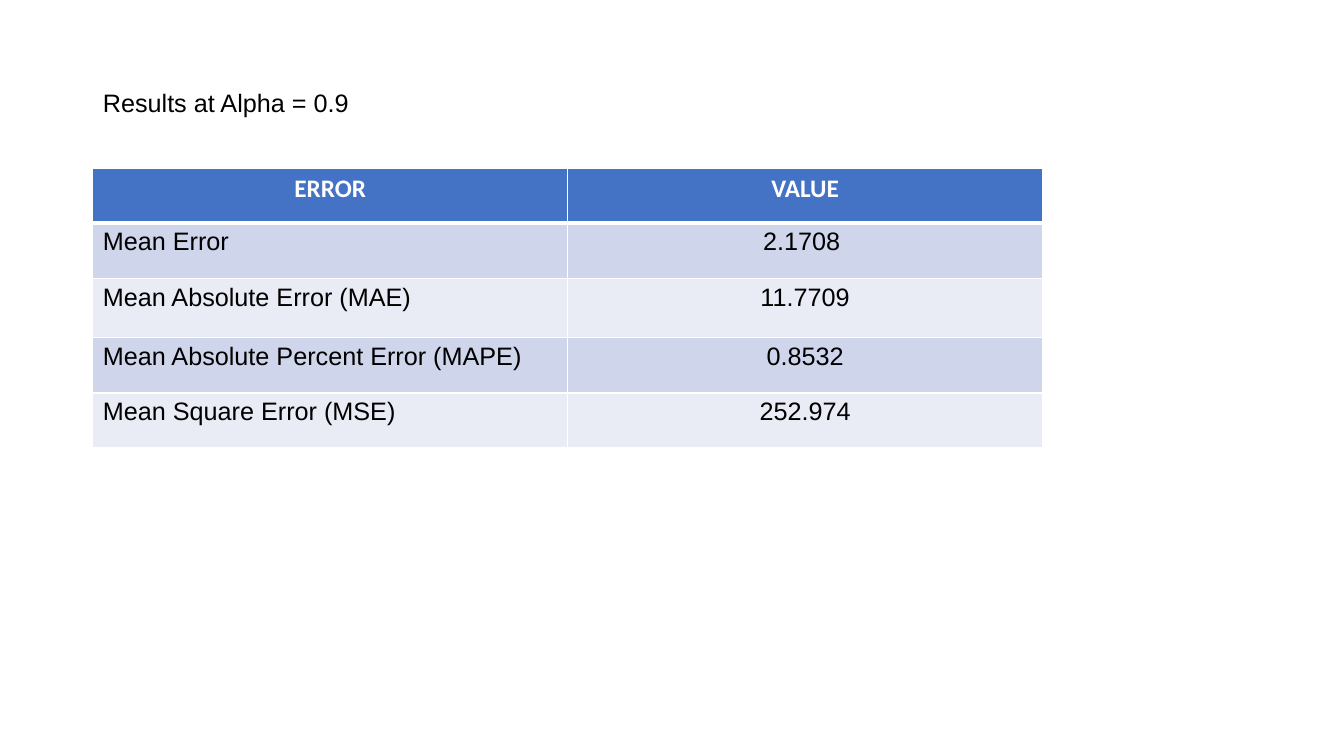
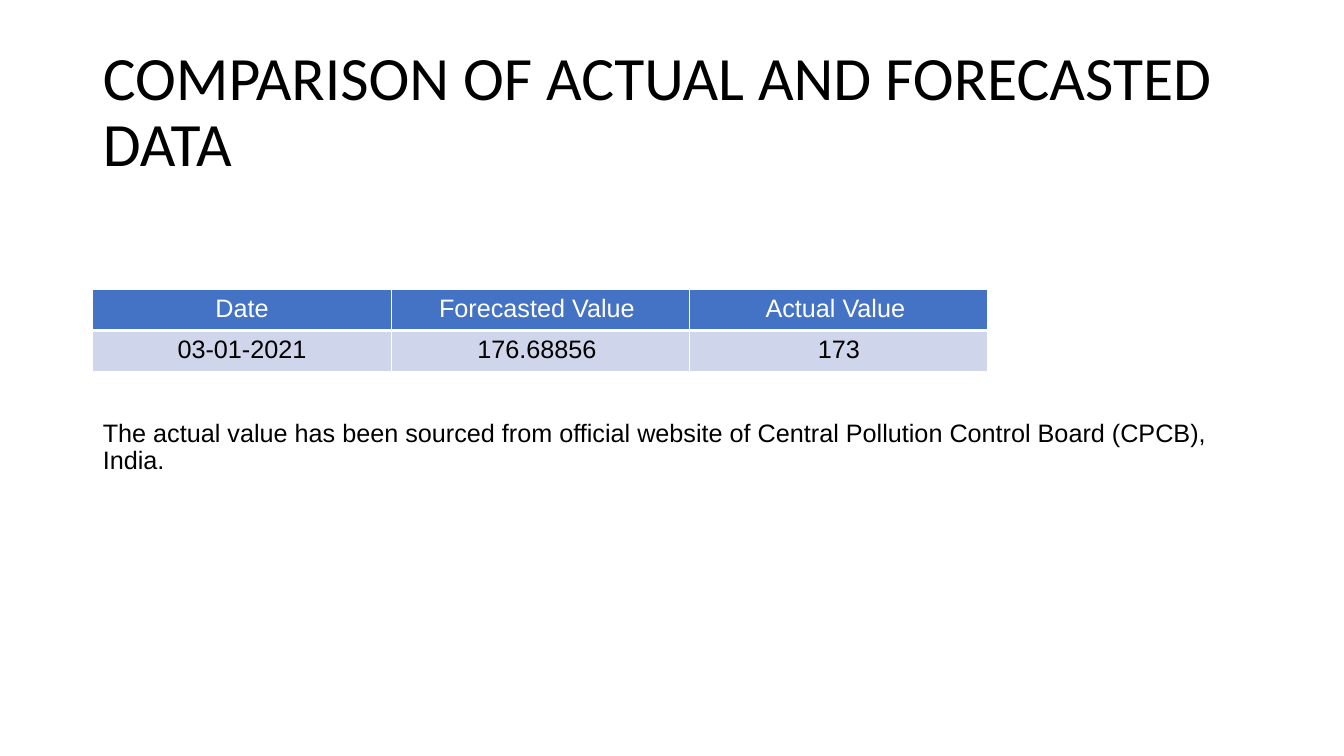
from lxml import etree
from pptx import Presentation
from pptx.dml.color import RGBColor
from pptx.enum.text import MSO_ANCHOR, MSO_AUTO_SIZE, PP_ALIGN
from pptx.oxml.ns import qn
from pptx.util import Inches, Pt

LEFT, CENTER = PP_ALIGN.LEFT, PP_ALIGN.CENTER
TOP, MIDDLE = MSO_ANCHOR.TOP, MSO_ANCHOR.MIDDLE
NO_AUTOFIT = MSO_AUTO_SIZE.NONE

# Shared look
color = RGBColor.from_string
BLACK, WHITE, HEADER = "000000", "FFFFFF", "4472C4"
BANDS = ["CFD5EA", "E9EBF5"]
MARGIN, CONTENT_WIDTH = 0.92, 11.5
THIN, THICK = Pt(1), Pt(3)

deck = Presentation()
deck.slide_width, deck.slide_height = Inches(13.33), Inches(7.5)
layout = deck.slide_layouts.get_by_name("Title and Content")


def fill_placeholder(box, text, top, height, size, font, anchor, space_before):
    box.left, box.top = Inches(MARGIN), Inches(top)
    box.width, box.height = Inches(CONTENT_WIDTH), Inches(height)
    frame = box.text_frame
    frame.text = text
    frame.auto_size = NO_AUTOFIT
    frame.vertical_anchor = anchor
    para = frame.paragraphs[0]
    para.alignment = LEFT
    para.line_spacing = 0.9
    para.space_before = Pt(space_before)
    para.font.size, para.font.name = Pt(size), font
    para.font.color.rgb = color(BLACK)
    properties = para._p.get_or_add_pPr()
    properties.set("marL", "0")
    properties.set("indent", "0")
    etree.SubElement(properties, qn("a:buNone"))
    properties.insert_element_before(properties.find(qn("a:buNone")), "a:defRPr")


def add_banded_table(page, rows, top, column_width, heights, header_font, header_bold, alignments):
    columns = len(rows[0])
    table = page.shapes.add_table(
        len(rows), columns, Inches(MARGIN), Inches(top),
        Inches(column_width * columns), Inches(sum(heights))).table
    for column in table.columns:
        column.width = Inches(column_width)
    for r, (values, height) in enumerate(zip(rows, heights)):
        table.rows[r].height = Inches(height)
        is_header = r == 0
        for c, value in enumerate(values):
            cell = table.cell(r, c)
            cell.text = value
            para = cell.text_frame.paragraphs[0]
            para.alignment = CENTER if is_header else alignments[c]
            para.font.size = Pt(18)
            para.font.name = header_font if is_header else "Arial"
            para.font.bold = is_header and header_bold
            para.font.color.rgb = color(WHITE if is_header else BLACK)
            # White borders, with a thick rule under the header
            widths = {"lnL": THIN, "lnR": THIN,
                      "lnT": THICK if r == 1 else THIN,
                      "lnB": THICK if is_header else THIN}
            properties = cell._tc.get_or_add_tcPr()
            for side, width in widths.items():
                line = etree.SubElement(properties, qn(f"a:{side}"), w=str(width))
                solid = etree.SubElement(line, qn("a:solidFill"))
                etree.SubElement(solid, qn("a:srgbClr"), val=WHITE)
            cell.fill.solid()
            cell.fill.fore_color.rgb = color(HEADER if is_header else BANDS[(r - 1) % 2])


# Slide 1: error measures
page = deck.slides.add_slide(layout)
title, body = page.placeholders
title.element.getparent().remove(title.element)
fill_placeholder(body, "Results at Alpha = 0.9", 0.85, 5.9, 18, "Arial", TOP, 10)
error_rows = [
    ("ERROR", "VALUE"),
    ("Mean Error", "2.1708 "),
    ("Mean Absolute Error (MAE)", "11.7709"),
    ("Mean Absolute Percent Error (MAPE)", "0.8532"),
    ("Mean Square Error (MSE)", "252.974"),
]
add_banded_table(page, error_rows, 1.67, 4.71, [0.54, 0.55, 0.59, 0.55, 0.54],
                 "Calibri", True, [LEFT, CENTER])

# Slide 2: forecast against actual value
page = deck.slides.add_slide(layout)
title, body = page.placeholders
fill_placeholder(title, "COMPARISON OF ACTUAL AND FORECASTED DATA",
                 0.4, 1.45, 44, "Calibri", MIDDLE, 0)
fill_placeholder(body, "The actual value has been sourced from official website of "
                 "Central Pollution Control Board (CPCB), India.",
                 4.12, 3.3, 18, "Arial", TOP, 10)
forecast_rows = [
    ("Date", "Forecasted Value ", "Actual Value "),
    ("03-01-2021", "176.68856 ", "173"),
]
add_banded_table(page, forecast_rows, 2.87, 2.96, [0.41, 0.41],
                 "Arial", False, [CENTER] * 3)

deck.save("out.pptx")
